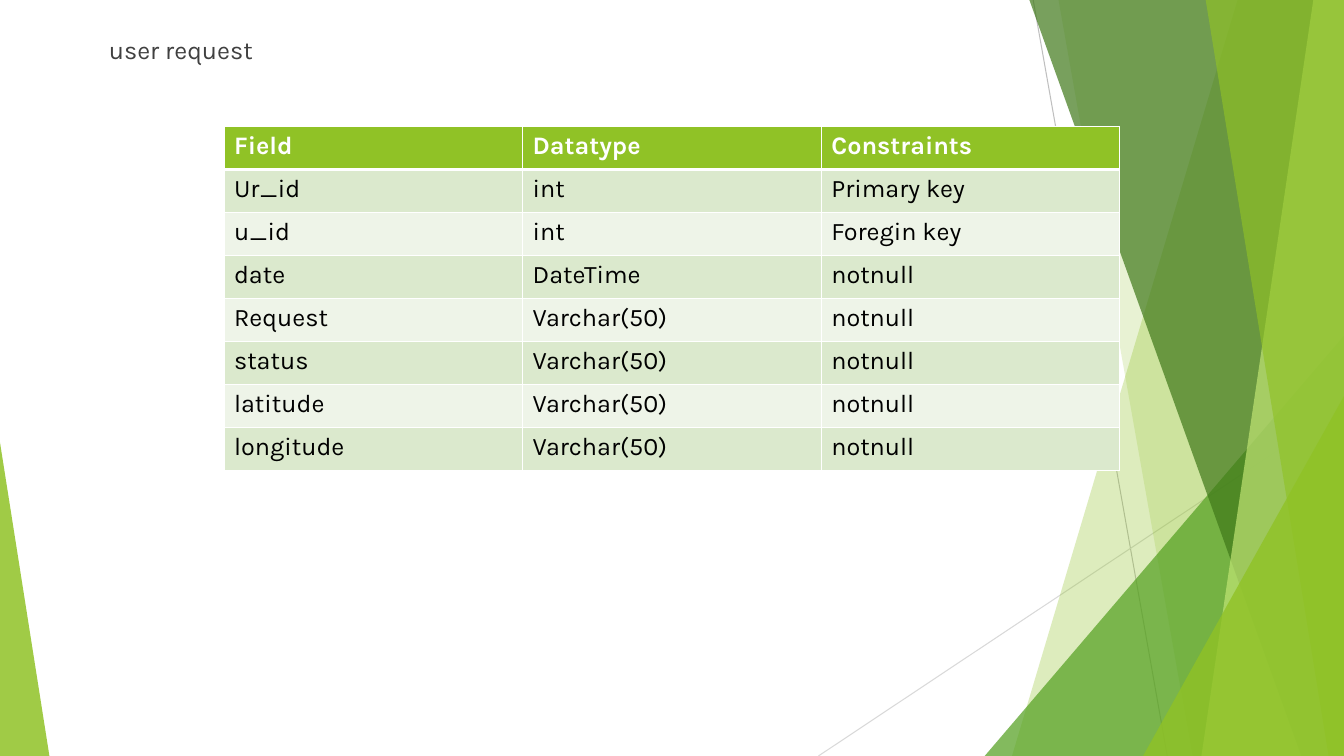
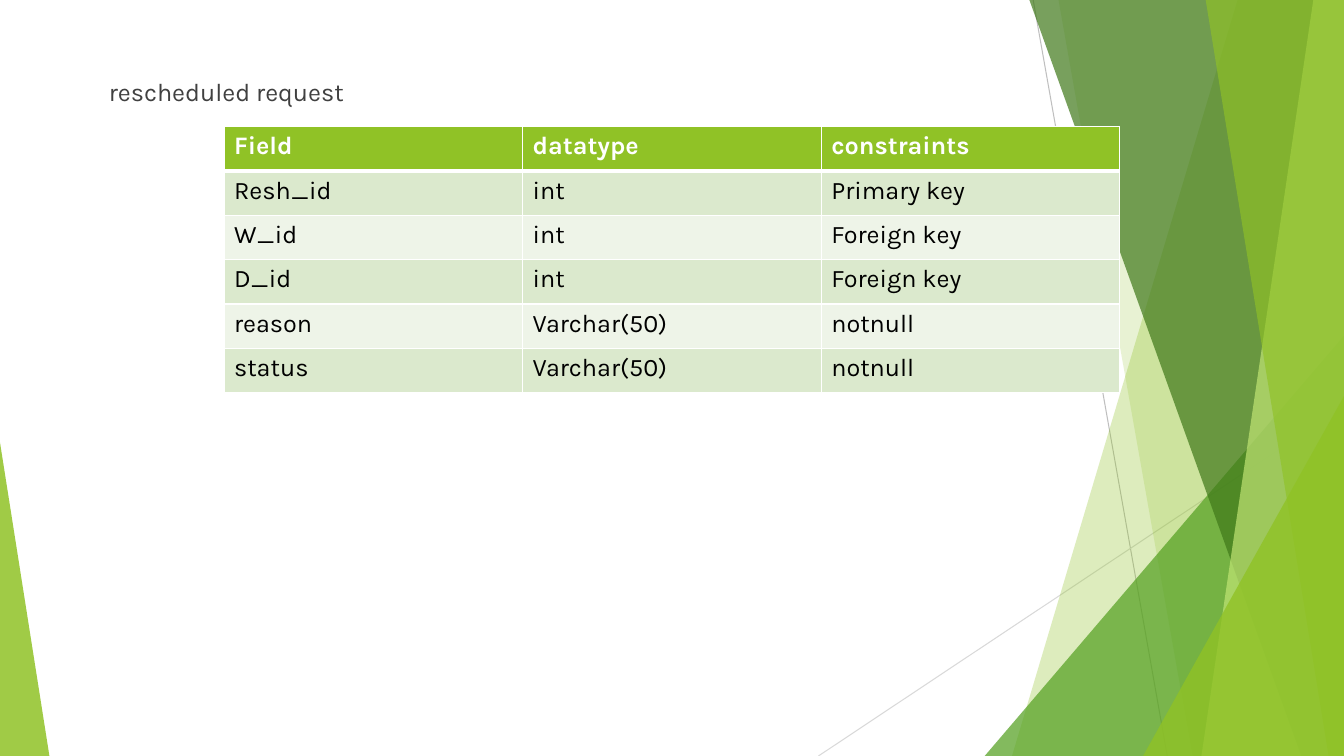
"""Build two slides that describe database tables on a green faceted background."""
from dataclasses import dataclass

from lxml import etree
from pptx import Presentation
from pptx.dml.color import RGBColor
from pptx.enum.shapes import MSO_CONNECTOR, MSO_SHAPE
from pptx.enum.text import MSO_ANCHOR, MSO_AUTO_SIZE, PP_ALIGN
from pptx.oxml.ns import qn
from pptx.shapes.base import BaseShape
from pptx.shapes.group import GroupShape
from pptx.slide import Slide, SlideLayout
from pptx.table import _Cell as Cell
from pptx.text.text import TextFrame
from pptx.util import Pt

STRAIGHT = MSO_CONNECTOR.STRAIGHT
TRIANGLE = MSO_SHAPE.ISOSCELES_TRIANGLE
TOP = MSO_ANCHOR.TOP
LEFT = PP_ALIGN.LEFT
NO_FIT = MSO_AUTO_SIZE.NONE

WIDTH, HEIGHT = 960, 540
BLEED_TOP = -0.6
CONTENT_LAYOUT = 1
FIRST_FOOTER_INDEX = 10


@dataclass(frozen=True)
class Theme:
    """Colours, font and sizes of the deck."""
    font: str = "Karla"
    text_size: float = 18
    caption: str = "404040"
    ink: str = "000000"
    white: str = "FFFFFF"
    lime: str = "90C226"
    pale_lime: str = "C0E474"
    green: str = "54A021"
    dark_green: str = "3F7819"
    odd_row: str = "DBE9CD"
    even_row: str = "EEF4E8"
    gray: str = "BFBFBF"
    light_gray: str = "D9D9D9"
    hairline: float = 0.75
    grid_line: float = 1
    header_line: float = 3


THEME = Theme()


@dataclass(frozen=True)
class Ray:
    """A thin line between two points."""
    start: tuple[float, float]
    end: tuple[float, float]
    color: str


@dataclass(frozen=True)
class Slant:
    """A full-height band from a slanted left edge to the right slide edge."""
    top_x: float
    bottom_x: float
    color: str
    opacity: int


@dataclass(frozen=True)
class Corner:
    """A right triangle standing on the bottom edge; peak 0 is left, 1 is right."""
    left: float
    top: float
    width: float
    peak: int
    color: str
    opacity: int


@dataclass(frozen=True)
class TablePage:
    """One slide: a caption and the table below it."""
    caption: str
    caption_top: float
    caption_height: float
    row_height: float
    rows: tuple[tuple[str, str, str], ...]


RAYS = (
    Ray((738, 0), (833.8, HEIGHT), THEME.gray),
    Ray((WIDTH, 290.2), (584.6, HEIGHT), THEME.light_gray),
)
FACETS = (
    Slant(884.2, 722.9, THEME.lime, 30),
    Slant(756, 851.8, THEME.lime, 20),
    Corner(703.4, 239.8, 256.6, 1, THEME.green, 72),
    Slant(735.1, 929.5, THEME.dark_green, 70),
    Slant(938.2, 858.2, THEME.pale_lime, 70),
    Slant(861.1, 949, THEME.lime, 65),
    Corner(816.5, 283, 143.5, 1, THEME.lime, 80),
    Corner(0, 316.1, 35.3, 0, THEME.lime, 85),
)
PAGES = (
    TablePage("user request", 20.9, 465.8, 30.7, (
        ("Field", "Datatype", "Constraints"),
        ("Ur_id", "int", "Primary key"),
        ("u_id", "int", "Foregin key"),
        ("date", "DateTime", "notnull"),
        ("Request", "Varchar(50)", "notnull"),
        ("status", "Varchar(50)", "notnull"),
        ("latitude", "Varchar(50)", "notnull"),
        ("longitude", "Varchar(50)", "notnull"),
    )),
    TablePage("rescheduled request", 51.1, 434.9, 31.7, (
        ("Field", "datatype", "constraints"),
        ("Resh_id", "int", "Primary key"),
        ("W_id", "int", "Foreign key"),
        ("D_id", "int", "Foreign key"),
        ("reason", "Varchar(50)", "notnull"),
        ("status", "Varchar(50)", "notnull"),
    )),
)


def write_text(frame: TextFrame, text: str, *, color: str, bold: bool = False,
               size: float = THEME.text_size, space_before: float = 0) -> None:
    """Write one left-aligned paragraph in the deck font."""
    para = frame.paragraphs[0]
    para.alignment = LEFT
    para.space_before = Pt(space_before)
    span = para.add_run()
    span.text = text
    span.font.name = THEME.font
    span.font.size = Pt(size)
    span.font.bold = bold
    span.font.color.rgb = RGBColor.from_string(color)


def paint(shape: BaseShape, color: str, opacity: int) -> None:
    """Give a shape a translucent fill without outline or shadow."""
    shape.shadow.inherit = False
    shape.line.fill.background()
    shape.fill.solid()
    shape.fill.fore_color.rgb = RGBColor.from_string(color)
    tint = shape.element.spPr.find(qn("a:solidFill")).find(qn("a:srgbClr"))
    etree.SubElement(tint, qn("a:alpha"), val=str(opacity * 1000))


def add_ray(group: GroupShape, ray: Ray) -> None:
    """Draw one thin line."""
    points = (Pt(value) for value in (*ray.start, *ray.end))
    line = group.shapes.add_connector(STRAIGHT, *points)
    line.line.color.rgb = RGBColor.from_string(ray.color)
    line.line.width = Pt(THEME.hairline)
    etree.SubElement(line.element.spPr, qn("a:effectLst"))


def add_facet(group: GroupShape, facet: Slant | Corner) -> None:
    """Draw one translucent facet."""
    if isinstance(facet, Slant):
        outline = group.shapes.build_freeform(Pt(facet.top_x), Pt(BLEED_TOP))
        corners = ((WIDTH, BLEED_TOP), (WIDTH, HEIGHT), (facet.bottom_x, HEIGHT))
        outline.add_line_segments([(Pt(x), Pt(y)) for x, y in corners], close=True)
        shape = outline.convert_to_shape()
    else:
        shape = group.shapes.add_shape(
            TRIANGLE, Pt(facet.left), Pt(facet.top),
            Pt(facet.width), Pt(HEIGHT - facet.top))
        shape.adjustments[0] = facet.peak
    paint(shape, facet.color, facet.opacity)


def add_background(layout: SlideLayout, page: Slide) -> None:
    """Draw the facets on a page and move them to the layout all pages share."""
    for holder in list(layout.placeholders):
        if holder.placeholder_format.idx >= FIRST_FOOTER_INDEX:
            layout.shapes.element.remove(holder.element)
    group = page.shapes.add_group_shape()
    for ray in RAYS:
        add_ray(group, ray)
    for facet in FACETS:
        add_facet(group, facet)
    layout.shapes.element.append(group.element)


def add_caption(page: Slide, content: TablePage) -> None:
    """Place the caption in the body placeholder, without a bullet."""
    title = page.shapes.title
    title.element.getparent().remove(title.element)
    box = page.placeholders[1]
    box.left, box.top = Pt(66.2), Pt(content.caption_top)
    box.width, box.height = Pt(828), Pt(content.caption_height)
    frame = box.text_frame
    frame.word_wrap = True
    frame.auto_size = NO_FIT
    frame.vertical_anchor = TOP
    frame.margin_left = Pt(11.5)
    write_text(frame, content.caption, color=THEME.caption, space_before=10)
    layout_props = frame.paragraphs[0]._p.get_or_add_pPr()
    layout_props.set("marL", "0")
    layout_props.set("indent", "0")
    etree.SubElement(layout_props, qn("a:buNone"))


def add_borders(cell: Cell, *, top: float, bottom: float) -> None:
    """Draw white cell borders, with chosen weights above and below."""
    props = cell._tc.get_or_add_tcPr()
    side = THEME.grid_line
    for tag, weight in (("lnL", side), ("lnR", side), ("lnT", top), ("lnB", bottom)):
        line = etree.SubElement(props, qn(f"a:{tag}"), w=str(Pt(weight)))
        fill = etree.SubElement(line, qn("a:solidFill"))
        etree.SubElement(fill, qn("a:srgbClr"), val=THEME.white)


def add_field_table(page: Slide, content: TablePage) -> None:
    """Draw the banded table with its bold header row."""
    rows = content.rows
    table = page.shapes.add_table(
        len(rows), len(rows[0]), Pt(160), Pt(90.4),
        Pt(640), Pt(content.row_height * len(rows))).table
    for index, values in enumerate(rows):
        table.rows[index].height = Pt(content.row_height)
        header = index == 0
        band = THEME.lime if header else (THEME.odd_row if index % 2 else THEME.even_row)
        top = THEME.header_line if index == 1 else THEME.grid_line
        bottom = THEME.header_line if header else THEME.grid_line
        for column, text in enumerate(values):
            cell = table.cell(index, column)
            add_borders(cell, top=top, bottom=bottom)
            cell.fill.solid()
            cell.fill.fore_color.rgb = RGBColor.from_string(band)
            write_text(cell.text_frame, text, bold=header,
                       color=THEME.white if header else THEME.ink)


def main() -> None:
    """Build and save the deck."""
    deck = Presentation()
    deck.slide_width, deck.slide_height = Pt(WIDTH), Pt(HEIGHT)
    layout = deck.slide_layouts[CONTENT_LAYOUT]
    for number, content in enumerate(PAGES):
        page = deck.slides.add_slide(layout)
        if number == 0:
            add_background(layout, page)
        add_caption(page, content)
        add_field_table(page, content)
    deck.save("out.pptx")


main()
